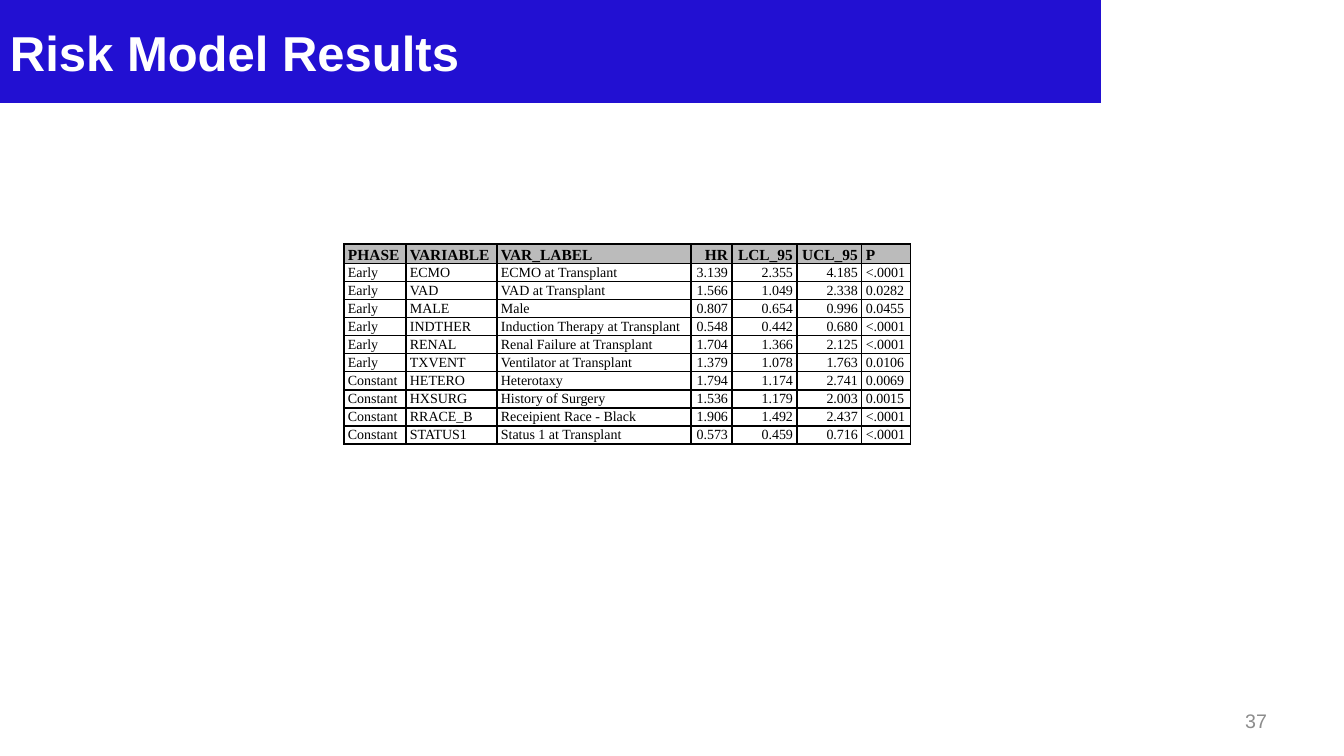
from dataclasses import dataclass

from lxml import etree
from pptx import Presentation
from pptx import util as u
from pptx.dml.color import RGBColor
from pptx.enum import shapes, text
from pptx.oxml import ns

LEFT, RIGHT = text.PP_ALIGN.LEFT, text.PP_ALIGN.RIGHT
MIDDLE = text.MSO_ANCHOR.MIDDLE
TOP, BOTTOM = text.MSO_ANCHOR.TOP, text.MSO_ANCHOR.BOTTOM


@dataclass(frozen=True)
class Theme:
    banner: str = "2210D2"
    white: str = "FFFFFF"
    black: str = "000000"
    header: str = "BBBBBB"
    muted: str = "8C8C8C"
    sans: str = "Arial"
    serif: str = "Times New Roman"
    title_size: int = 35
    number_size: int = 14
    header_size: int = 11
    body_size: int = 10


def px(count):
    return u.Emu(round(count * 914400 / 100.8))


def apply(target, values):
    for name, value in values.items():
        setattr(target, name, value)


class SlideBuilder:
    def __init__(self, deck, theme):
        self.theme = theme
        self.slide = deck.slides.add_slide(deck.slide_layouts[6])

    def add_words(self, frame, words, size, color, face, bold=False, **layout):
        para = frame.paragraphs[0]
        apply(para, layout)
        span = para.add_run()
        span.text = words
        apply(span.font, {"size": u.Pt(size), "name": face, "bold": bold})
        span.font.color.rgb = RGBColor.from_string(color)

    def fill(self, target, color):
        target.fill.solid()
        target.fill.fore_color.rgb = RGBColor.from_string(color)

    def banner(self, words, left, top, width, height):
        theme = self.theme
        box = self.slide.shapes.add_shape(
            shapes.MSO_SHAPE.RECTANGLE, *map(px, (left, top, width, height)))
        box.shadow.inherit = False
        self.fill(box, theme.banner)
        self.fill(box.line, theme.banner)
        box.line.width = u.Pt(0.75)
        apply(box.text_frame, {"word_wrap": True, "vertical_anchor": MIDDLE})
        self.add_words(box.text_frame, words, theme.title_size, theme.white,
                       theme.sans, bold=True, alignment=LEFT)

    def page_number(self, words, left, top, width, height):
        theme = self.theme
        box = self.slide.shapes.add_textbox(*map(px, (left, top, width, height)))
        apply(box.text_frame, {"word_wrap": True, "vertical_anchor": MIDDLE})
        self.add_words(box.text_frame, words, theme.number_size, theme.muted,
                       theme.sans, alignment=RIGHT)

    def borders(self, cell):
        properties = cell._tc.get_or_add_tcPr()
        for index, side in enumerate(("lnL", "lnR", "lnT", "lnB")):
            line = etree.Element(ns.qn(f"a:{side}"), w=str(u.Pt(1)))
            solid = etree.SubElement(line, ns.qn("a:solidFill"))
            etree.SubElement(solid, ns.qn("a:srgbClr"), val=self.theme.black)
            properties.insert(index, line)

    def cell(self, cell, words, is_header, alignment):
        theme = self.theme
        apply(cell, {"margin_left": px(4), "margin_right": px(4),
                     "margin_top": 0, "margin_bottom": 0,
                     "vertical_anchor": BOTTOM if is_header else TOP})
        self.fill(cell, theme.header if is_header else theme.white)
        self.borders(cell)
        size = theme.header_size if is_header else theme.body_size
        self.add_words(cell.text_frame, words, size, theme.black, theme.serif,
                       bold=is_header, alignment=alignment, line_spacing=1.07,
                       space_before=u.Pt(3), space_after=u.Pt(3))

    def table(self, rows, left, top, widths, alignments, header_height, row_height):
        heights = [header_height] + [row_height] * (len(rows) - 1)
        table = self.slide.shapes.add_table(
            len(rows), len(widths), px(left), px(top),
            px(sum(widths)), px(sum(heights))).table
        apply(table, {"first_row": False, "horz_banding": False})
        for column, width in zip(table.columns, widths):
            column.width = px(width)
        for index, (values, height) in enumerate(zip(rows, heights)):
            table.rows[index].height = px(height)
            for cell, words, alignment in zip(table.rows[index].cells, values, alignments):
                self.cell(cell, words, index == 0, alignment)


RESULTS = [
    ("PHASE", "VARIABLE", "VAR_LABEL", "HR", "LCL_95", "UCL_95", "P"),
    ("Early", "ECMO", "ECMO at Transplant", "3.139", "2.355", "4.185", "<.0001"),
    ("Early", "VAD", "VAD at Transplant", "1.566", "1.049", "2.338", "0.0282"),
    ("Early", "MALE", "Male", "0.807", "0.654", "0.996", "0.0455"),
    ("Early", "INDTHER", "Induction Therapy at Transplant", "0.548", "0.442", "0.680", "<.0001"),
    ("Early", "RENAL", "Renal Failure at Transplant", "1.704", "1.366", "2.125", "<.0001"),
    ("Early", "TXVENT", "Ventilator at Transplant", "1.379", "1.078", "1.763", "0.0106"),
    ("Constant", "HETERO", "Heterotaxy", "1.794", "1.174", "2.741", "0.0069"),
    ("Constant", "HXSURG", "History of Surgery", "1.536", "1.179", "2.003", "0.0015"),
    ("Constant", "RRACE_B", "Receipient Race - Black", "1.906", "1.492", "2.437", "<.0001"),
    ("Constant", "STATUS1", "Status 1 at Transplant", "0.573", "0.459", "0.716", "<.0001"),
]


def main():
    deck = Presentation()
    apply(deck, {"slide_width": px(1344), "slide_height": px(756)})
    page = SlideBuilder(deck, Theme())
    page.page_number("37", 964, 701, 313, 40)
    page.table(RESULTS, left=344, top=244,
               widths=[62, 91, 194, 41, 65, 65, 49],
               alignments=[LEFT] * 3 + [RIGHT] * 3 + [LEFT],
               header_height=18, row_height=16)
    page.banner("Risk Model Results", 0, 0, 1101, 103)
    deck.save("out.pptx")


if __name__ == "__main__":
    main()
